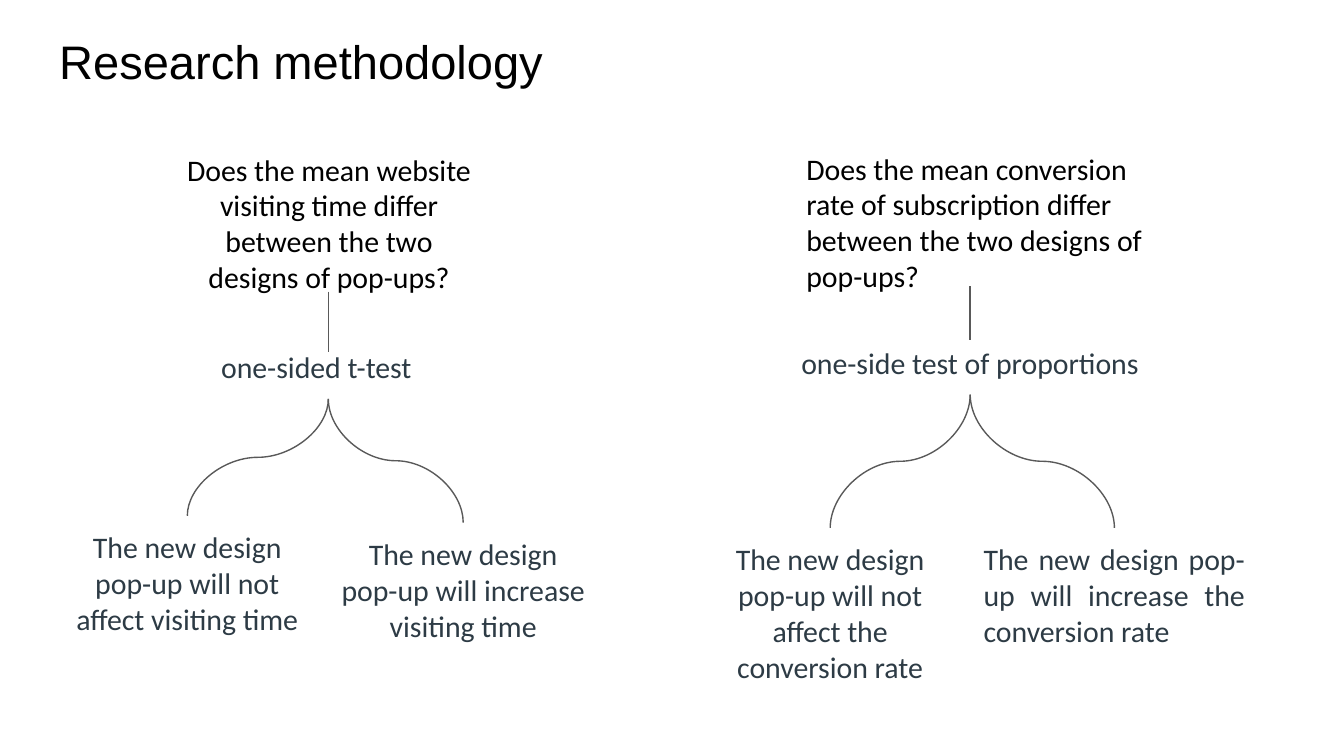
from dataclasses import dataclass

from lxml.etree import SubElement
from pptx import Presentation
from pptx.dml.color import RGBColor
from pptx.enum.shapes import MSO_CONNECTOR
from pptx.enum.text import MSO_ANCHOR, PP_ALIGN
from pptx.oxml.ns import qn
from pptx.util import Cm, Pt


@dataclass(frozen=True)
class Theme:
    """Colours, fonts and type sizes of the slide."""
    black: RGBColor = RGBColor(0, 0, 0)
    slate: RGBColor = RGBColor(0x2D, 0x3B, 0x45)
    line: RGBColor = RGBColor(0x59, 0x59, 0x59)
    title_font: str = "Arial"
    body_font: str = "Calibri"
    title_size: float = 25.2
    body_size: float = 16
    line_width: float = 0.75
    inset: float = 0.25


THEME = Theme()
LEFT, CENTER, JUSTIFY = PP_ALIGN.LEFT, PP_ALIGN.CENTER, PP_ALIGN.JUSTIFY
TOP, MIDDLE = MSO_ANCHOR.TOP, MSO_ANCHOR.MIDDLE

TREES = [
    {
        "box": (1.09, 2.59),
        "question": ("Does the mean website visiting time differ between "
                     "the two designs of pop-ups?",
                     (2.08, 0.43, 6.1, 2.39), CENTER, MIDDLE),
        "stem": (2.92, 4.06),
        "test": ("one-sided t-test", (2.84, 3.76, 4.55, 1.19), JUSTIFY),
        "outcomes": [
            ("The new design pop-up will not affect visiting time",
             (0, 7.16, 4.9, 2.57), CENTER),
            ("The new design pop-up will increase visiting time",
             (5.11, 7.29, 5.11, 3.25), CENTER),
        ],
    },
    {
        "box": (13.34, 2.59),
        "question": ("Does the mean conversion rate of subscription differ "
                     "between the two designs of pop-ups?",
                     (1.65, 0, 7.09, 3.25), LEFT, TOP),
        "stem": (2.82, 3.84),
        "test": ("one-side test of proportions",
                 (1.02, 3.68, 7.95, 1.19), CENTER),
        "outcomes": [
            ("The new design pop-up will not affect the conversion rate",
             (0, 7.39, 4.7, 3.25), CENTER),
            ("The new design pop-up will increase the conversion rate",
             (5, 7.39, 5.44, 2.57), JUSTIFY),
        ],
    },
]


def set_attrs(obj, values):
    """Set each named attribute on an object."""
    for name, value in values.items():
        setattr(obj, name, value)


def add_text(s, text, box, align=LEFT, anchor=TOP, color=THEME.slate,
             font=THEME.body_font, size=THEME.body_size):
    """Add a wrapped one-paragraph text box and return its shape."""
    sp = s.shapes.add_textbox(*map(Cm, box))
    tf = sp.text_frame
    sides = ("left", "top", "right", "bottom")
    set_attrs(tf, {f"margin_{side}": Cm(THEME.inset) for side in sides})
    set_attrs(tf, {"word_wrap": True, "vertical_anchor": anchor})
    p = tf.paragraphs[0]
    p.alignment = align
    r = p.add_run()
    r.text = text
    set_attrs(r.font, {"name": font, "size": Pt(size)})
    r.font.color.rgb = color
    return sp


def add_line(s, kind, start, end):
    """Add a thin connector without a shadow."""
    sp = s.shapes.add_connector(kind, *map(int, (*start, *end)))
    sp.line.color.rgb = THEME.line
    sp.line.width = Pt(THEME.line_width)
    SubElement(sp._element.spPr, qn("a:effectLst"))
    return sp


def add_branch(s, start, end):
    """Add an S-curve that leaves start and reaches end vertically."""
    (x1, y1), (x2, y2) = start, end
    mid_x, mid_y = (x1 + x2) / 2, (y1 + y2) / 2
    half_w, half_h = abs(x2 - x1) / 2, (y2 - y1) / 2
    side, angle = (1, 90) if x2 < x1 else (-1, 270)
    sp = add_line(s, MSO_CONNECTOR.CURVE,
                  (mid_x - side * half_h, mid_y - half_w),
                  (mid_x + side * half_h, mid_y + half_w))
    sp._element.spPr.find(qn("a:xfrm")).set("rot", str(angle * 60000))


def add_title(s, box):
    """Add the slide title in the given box."""
    add_text(s, "Research methodology", box, color=THEME.black,
             font=THEME.title_font, size=THEME.title_size)


def add_tree(s, box, question, stem, test, outcomes):
    """Add a question, its test and the two outcomes from a top-left corner."""
    x, y = box

    def place(text, rel, *style, **colors):
        """Add text at a position relative to the tree's corner."""
        left, top, width, height = rel
        return add_text(s, text, (x + left, y + top, width, height),
                        *style, **colors)

    place(*question, color=THEME.black)
    hub = place(*test)
    hub_x = hub.left + hub.width // 2
    add_line(s, MSO_CONNECTOR.STRAIGHT,
             *((hub_x, Cm(y + level)) for level in stem))
    for outcome in outcomes:
        sp = place(*outcome)
        add_branch(s, (hub_x, hub.top + hub.height),
                   (sp.left + sp.width // 2, sp.top))


def main():
    """Build and save the slide."""
    prs = Presentation()
    set_attrs(prs, {"slide_width": Cm(25.4), "slide_height": Cm(14.29)})
    s = prs.slides.add_slide(prs.slide_layouts[6])
    add_title(s, (0.87, 0.36, 23.67, 1.6))
    for tree in TREES:
        add_tree(s, **tree)
    prs.save("out.pptx")


if __name__ == "__main__":
    main()
